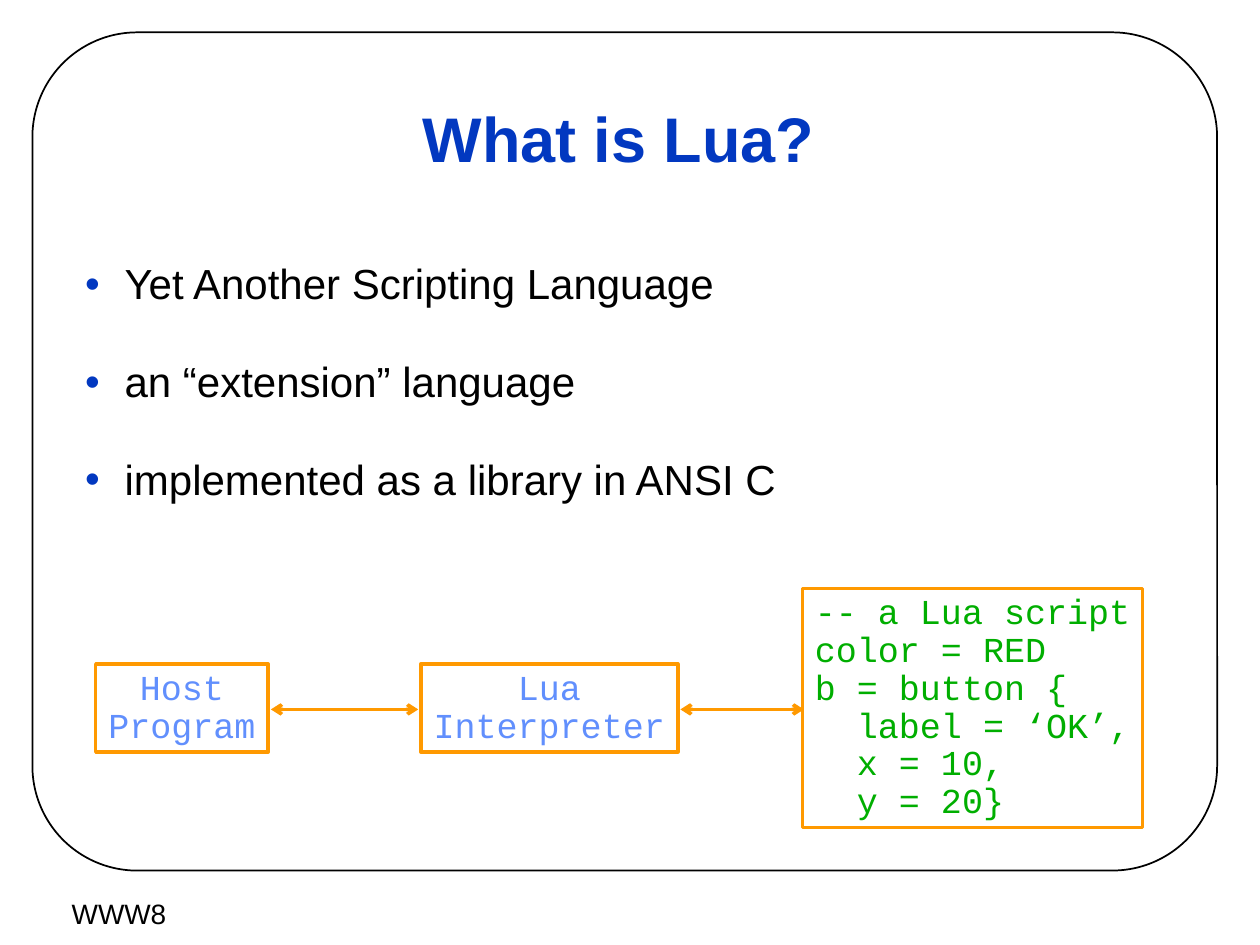
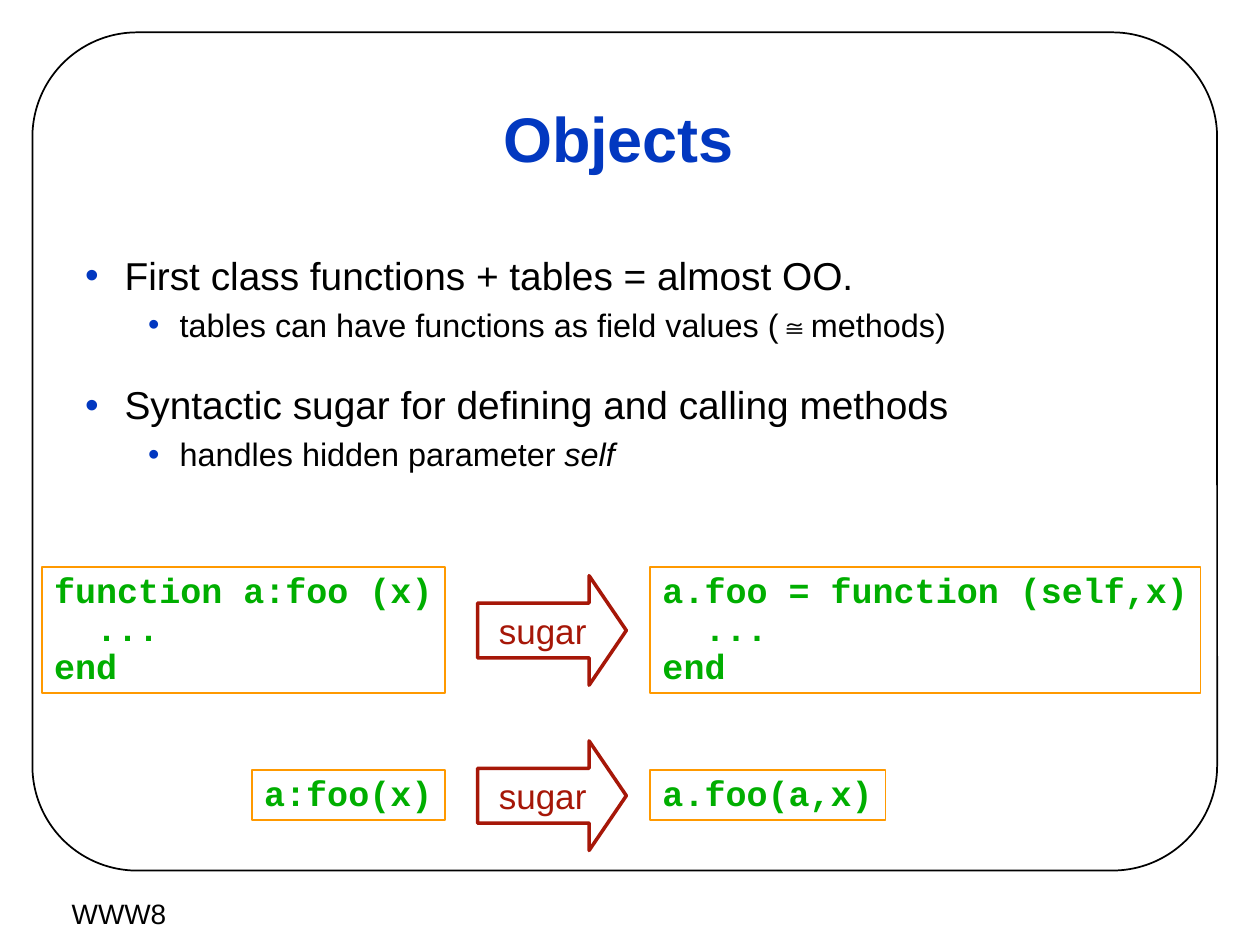
from lxml import etree
from pptx import Presentation
from pptx.dml.color import RGBColor
from pptx.enum import shapes, text
from pptx.oxml import ns
from pptx.util import Pt

BLACK = RGBColor(0x00, 0x00, 0x00)
BLUE = RGBColor(0x02, 0x38, 0xC0)
LIGHT_BLUE = RGBColor(0x61, 0x8F, 0xFD)
ORANGE = RGBColor(0xFF, 0x99, 0x00)
GREEN = RGBColor(0x00, 0xAE, 0x00)
RED = RGBColor(0xA6, 0x17, 0x08)

LEFT, CENTER = text.PP_ALIGN.LEFT, text.PP_ALIGN.CENTER
TOP, MIDDLE = text.MSO_ANCHOR.TOP, text.MSO_ANCHOR.MIDDLE
RECTANGLE = shapes.MSO_SHAPE.RECTANGLE

TITLE_FONT = {"name": "Arial", "size": Pt(36), "bold": True}
FOOTER_FONT = {"name": "Arial", "size": Pt(16), "bold": False}
SUGAR_FONT = {"name": "Arial", "size": Pt(20), "bold": False}
CODE_FONT = {"name": "Courier New", "size": Pt(20), "bold": False}
BOLD_CODE_FONT = {**CODE_FONT, "bold": True}


def write_lines(frame, lines, color, font, paragraph_format):
    """Fill the frame, one paragraph a line; text between bars is italic."""
    for number, line in enumerate(lines):
        paragraph = frame.add_paragraph() if number else frame.paragraphs[0]
        for attribute, value in paragraph_format.items():
            setattr(paragraph, attribute, value)
        for part, words in enumerate(line.split("|")):
            if words:
                run = paragraph.add_run()
                run.text = words
                for attribute, value in font.items():
                    setattr(run.font, attribute, value)
                run.font.italic = part % 2 == 1
                run.font.color.rgb = color


def add_outline(slide, preset, place, color, weight, wrap=False, anchor=TOP):
    outline = slide.shapes.add_shape(preset, *map(Pt, place))
    outline.shadow.inherit = False
    outline.fill.background()
    outline.line.color.rgb = color
    outline.line.width = Pt(weight)
    outline.text_frame.word_wrap = wrap
    outline.text_frame.vertical_anchor = anchor
    return outline


# title, top and height of the list, size and space before per level, bullets
CONTENT = [
    ("What is Lua?", 147, 342, [(24, 30)], [
        (0, "Yet Another Scripting Language"),
        (0, "an “extension” language"),
        (0, "implemented as a library in ANSI C"),
    ]),
    ("Objects", 143, 124, [(22.2, 24), (18.5, 6)], [
        (0, "First class functions + tables = almost OO."),
        (1, "tables can have functions as field values (≅methods)"),
        (0, "Syntactic sugar for defining and calling methods"),
        (1, "handles hidden parameter |self|"),
    ]),
]
INDENTS = [(22.5, -22.5), (54, -18)]

deck = Presentation()
deck.slide_width, deck.slide_height = Pt(720), Pt(540)

# Frame, title, bullet list and footer of both slides
for heading, list_top, list_height, levels, bullets in CONTENT:
    slide = deck.slides.add_slide(deck.slide_layouts[1])
    border = add_outline(slide, shapes.MSO_SHAPE.ROUNDED_RECTANGLE,
                         (18.5, 18.5, 677, 479), BLACK, 1)
    border.adjustments[0] = 0.125

    footer = slide.shapes.add_textbox(Pt(30.5), Pt(504), Pt(75), Pt(36)).text_frame
    footer.word_wrap = False
    footer.vertical_anchor = MIDDLE
    write_lines(footer, ["WWW8"], BLACK, FOOTER_FONT, {"alignment": CENTER})

    title, body = slide.placeholders
    for holder, top, height, anchor in ((title, 36, 90, MIDDLE),
                                        (body, list_top, list_height, TOP)):
        holder.left, holder.top = Pt(41.5), Pt(top)
        holder.width, holder.height = Pt(624), Pt(height)
        holder.text_frame.vertical_anchor = anchor
        holder.text_frame.auto_size = text.MSO_AUTO_SIZE.NONE
    write_lines(title.text_frame, [heading], BLUE, TITLE_FONT,
                {"alignment": CENTER, "line_spacing": 0.9})

    for number, (level, bullet) in enumerate(bullets):
        size, gap = levels[level]
        if number:
            body.text_frame.add_paragraph()
        paragraph = body.text_frame.paragraphs[number]
        properties = paragraph._p.get_or_add_pPr()
        margin, indent = INDENTS[level]
        properties.set("marL", str(Pt(margin)))
        properties.set("indent", str(Pt(indent)))
        bullet_color = etree.SubElement(properties, ns.qn("a:buClr"))
        etree.SubElement(bullet_color, ns.qn("a:srgbClr"), val=str(BLUE))
        etree.SubElement(properties, ns.qn("a:buFont"), typeface="Arial")
        etree.SubElement(properties, ns.qn("a:buChar"), char="•")
        paragraph.level = level
        paragraph.line_spacing = 0.9
        paragraph.space_before = Pt(gap if number else 0)
        paragraph.space_after = Pt(0)
        for part, words in enumerate(bullet.split("|")):
            if words:
                run = paragraph.add_run()
                run.text = words
                run.font.name, run.font.size = "Arial", Pt(size)
                run.font.italic = part % 2 == 1
                run.font.color.rgb = BLACK

what_is_lua, objects = deck.slides

# Host program, interpreter and script, joined by two-way arrows
SCRIPT = ["-- a Lua script", "color = RED", "b = button {",
          "  label = ‘OK’,", "  x = 10,", "  y = 20}"]
for place, lines, color, alignment in (
        ((54.7, 379.4, 98.6, 50.4), ["Host", "Program"], LIGHT_BLUE, CENTER),
        ((240.5, 379.4, 146.9, 50.4), ["Lua", "Interpreter"], LIGHT_BLUE, CENTER),
        ((458.6, 336.2, 194.4, 136.8), SCRIPT, GREEN, LEFT)):
    stage = add_outline(what_is_lua, RECTANGLE, place, ORANGE, 2)
    write_lines(stage.text_frame, lines, color, CODE_FONT,
                {"alignment": alignment, "line_spacing": 0.9})

for start, end in ((154.8, 239), (388.8, 459.4)):
    link = what_is_lua.shapes.add_connector(
        shapes.MSO_CONNECTOR.STRAIGHT, Pt(start), Pt(405.4), Pt(end), Pt(405.4))
    link.line.color.rgb = ORANGE
    link.line.width = Pt(2)
    for arrowhead in ("a:headEnd", "a:tailEnd"):
        etree.SubElement(link.line._get_or_add_ln(), ns.qn(arrowhead), type="arrow")
    etree.SubElement(link._element.spPr, ns.qn("a:effectLst"))

# Each row: sugared code, arrow, plain code
SUGARED_RIGHT, PLAIN_LEFT = 254.3, 371.5
for code_top, code_height, arrow_top, sugared, sugared_width, plain, plain_width in (
        (324, 72, 329, ["function a:foo (x)", "  ...", "end"], 230.4,
         ["a.foo = function (self,x)", "  ...", "end"], 314.6),
        (439.9, 28.8, 423.4, ["a:foo(x)"], 110.4, ["a.foo(a,x)"], 134.6)):
    for left, width, lines in ((SUGARED_RIGHT - sugared_width, sugared_width, sugared),
                               (PLAIN_LEFT, plain_width, plain)):
        code = add_outline(objects, RECTANGLE,
                           (left, code_top, width, code_height), ORANGE, 1)
        write_lines(code.text_frame, lines, GREEN, BOLD_CODE_FONT,
                    {"alignment": LEFT, "line_spacing": 0.9})
    arrow = add_outline(objects, shapes.MSO_SHAPE.RIGHT_ARROW,
                        (272.9, arrow_top, 85, 62.6), RED, 2, True, MIDDLE)
    arrow.adjustments[1] = 0.34
    write_lines(arrow.text_frame, ["sugar"], RED, SUGAR_FONT, {"alignment": CENTER})

deck.save("out.pptx")
